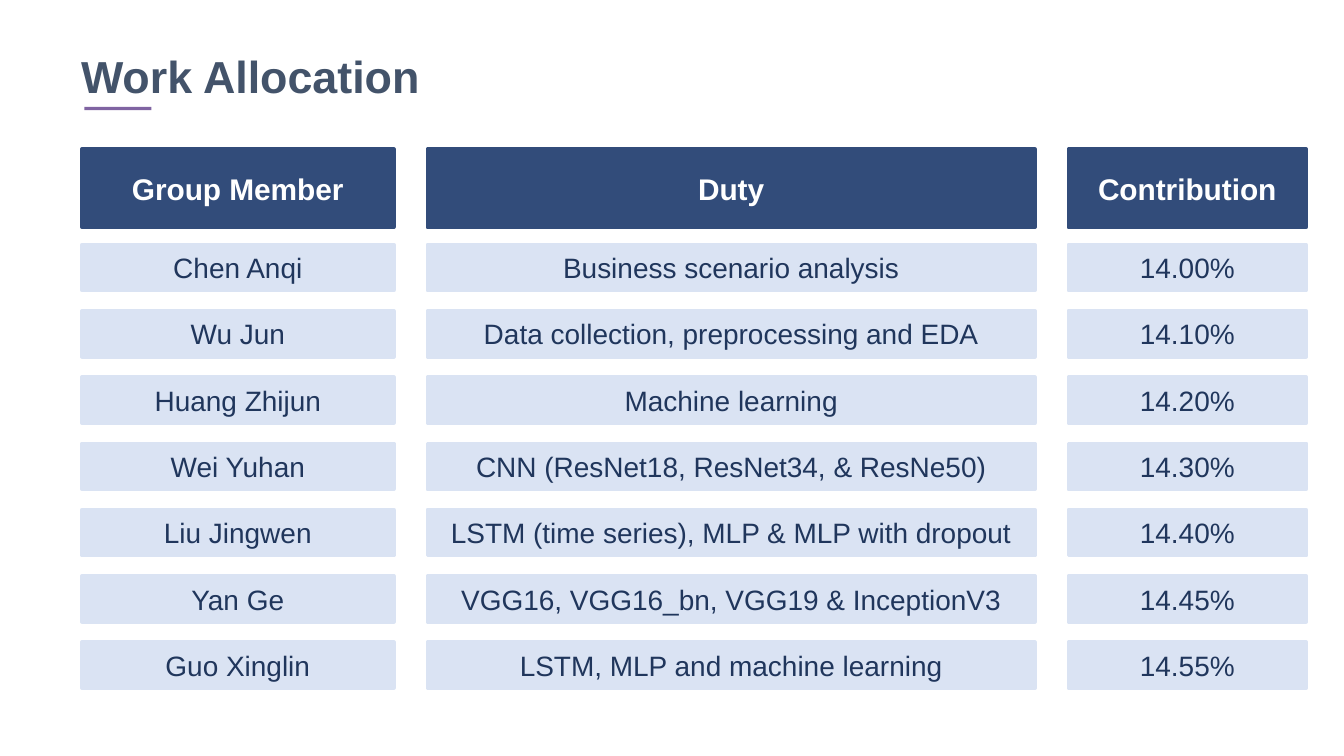
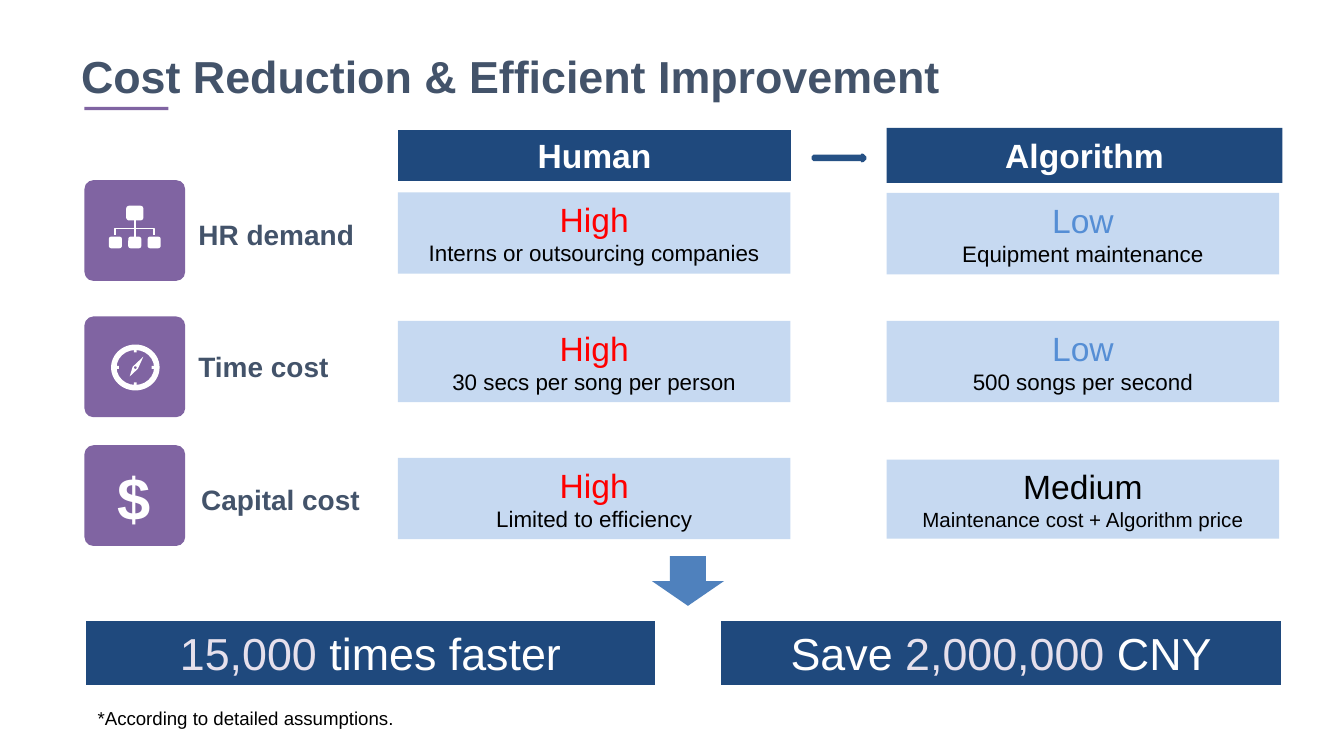
import pptx
import pptx.util
import pptx.dml.color
import pptx.enum.shapes
import pptx.enum.text
import pptx.oxml
import pptx.oxml.ns

Pt = pptx.util.Pt
RGBColor = pptx.dml.color.RGBColor
SHAPE = pptx.enum.shapes.MSO_SHAPE
ANCHOR = pptx.enum.text.MSO_ANCHOR
ALIGN = pptx.enum.text.PP_ALIGN

FONT = "Arial"
WHITE = RGBColor(0xFF, 0xFF, 0xFF)
BLACK = RGBColor(0x00, 0x00, 0x00)
RED = RGBColor(0xFF, 0x00, 0x00)
PURPLE = RGBColor(0x80, 0x64, 0xA2)
LAVENDER = RGBColor(0xE6, 0xE0, 0xEC)
SLATE = RGBColor(0x43, 0x53, 0x6A)
HEADER_BLUE = RGBColor(0x32, 0x4C, 0x7A)
ROW_BLUE = RGBColor(0xDA, 0xE3, 0xF3)
ROW_TEXT = RGBColor(0x20, 0x36, 0x5C)
NAVY = RGBColor(0x1F, 0x49, 0x7D)
CARD_BLUE = RGBColor(0xC6, 0xD9, 0xF1)
LOW_BLUE = RGBColor(0x55, 0x8E, 0xD5)
ARROW_NAVY = RGBColor(0x26, 0x51, 0x85)
ARROW_BLUE = RGBColor(0x4F, 0x81, 0xBD)

ALLOCATION = [
    ("Group Member", 43.9, 167, ["Chen Anqi", "Wu Jun", "Huang Zhijun", "Wei Yuhan",
                                 "Liu Jingwen", "Yan Ge", "Guo Xinglin"]),
    ("Duty", 229, 325.4, ["Business scenario analysis",
                          "Data collection, preprocessing and EDA",
                          "Machine learning",
                          "CNN (ResNet18, ResNet34, & ResNe50)",
                          "LSTM (time series), MLP & MLP with dropout",
                          "VGG16, VGG16_bn, VGG19 & InceptionV3",
                          "LSTM, MLP and machine learning"]),
    ("Contribution", 572.4, 127.4, ["14.00%", "14.10%", "14.20%", "14.30%",
                                    "14.40%", "14.45%", "14.55%"]),
]


# Shared building blocks
def points(values):
    return [Pt(value) for value in values]


def style(shape, fill=None, line=None, line_width=2):
    shape.shadow.inherit = False
    if fill is None:
        shape.fill.background()
    else:
        shape.fill.solid()
        shape.fill.fore_color.rgb = fill
    if line is None:
        shape.line.fill.background()
    else:
        shape.line.color.rgb = line
        shape.line.width = Pt(line_width)
    return shape


def add_box(slide, preset, box, fill, line=None, corner=None):
    shape = style(slide.shapes.add_shape(preset, *points(box)), fill, line)
    if corner is not None:
        shape.adjustments[0] = corner
    return shape


def write(shape, paragraphs, align=ALIGN.CENTER, anchor=ANCHOR.TOP):
    """Each paragraph is a list of runs: (text, size, colour, bold)."""
    frame = shape.text_frame
    frame.word_wrap = True
    frame.vertical_anchor = anchor
    for index, runs in enumerate(paragraphs):
        paragraph = frame.add_paragraph() if index else frame.paragraphs[0]
        paragraph.alignment = align
        for text, size, colour, bold in runs:
            run = paragraph.add_run()
            run.text = text
            run.font.name = FONT
            run.font.size = Pt(size)
            run.font.bold = bold
            run.font.color.rgb = colour


def add_label(slide, box, text, size, colour, bold=False, anchor=ANCHOR.TOP):
    label = slide.shapes.add_textbox(*points(box))
    write(label, [[(text, size, colour, bold)]], ALIGN.LEFT, anchor)


def add_outline(slide, corners, close):
    corners = [points(corner) for corner in corners]
    builder = slide.shapes.build_freeform(*corners[0])
    builder.add_line_segments(corners[1:], close=close)
    return builder.convert_to_shape()


def add_title(slide, text, rule_width):
    add_box(slide, SHAPE.RECTANGLE, (45.2, 57.3, rule_width, 1.7), PURPLE)
    add_label(slide, (36.3, 16.6, 639.4, 47.5), text, 24, SLATE, True, ANCHOR.MIDDLE)


# Slide 1: columns of separate cells
def add_column(slide, box, heading, entries):
    left, top, width, header_height = box
    row_top, row_pitch, row_height = top + 51.2, 35.5, 24.5
    header = add_box(slide, SHAPE.ROUNDED_RECTANGLE, box, HEADER_BLUE, HEADER_BLUE, 0)
    write(header, [[(heading, 16, WHITE, True)]], anchor=ANCHOR.MIDDLE)
    for index, entry in enumerate(entries):
        cell_box = (left, row_top + index * row_pitch, width, row_height)
        cell = add_box(slide, SHAPE.ROUNDED_RECTANGLE, cell_box, ROW_BLUE, ROW_BLUE, 0)
        write(cell, [[(entry, 15, ROW_TEXT, False)]], anchor=ANCHOR.MIDDLE)


def build_allocation(slide):
    add_title(slide, "Work Allocation", 36)
    for heading, left, width, entries in ALLOCATION:
        add_column(slide, (left, 79.9, width, 41.8), heading, entries)


# Slide 2: icons, each drawn on a square tile
def draw_hierarchy(slide, left, top):
    middle, spread = left + 27, 10.4

    def add_node(center, node_top, width, height):
        box = (center - width / 2, node_top, width, height)
        return add_box(slide, SHAPE.ROUNDED_RECTANGLE, box, WHITE, corner=0.2)

    parent = add_node(middle, top + 13.7, 9.2, 7.9)
    children = [add_node(middle + step * spread, top + 30.3, 7, 6.2) for step in (-1, 0, 1)]
    stem = slide.shapes.add_connector(pptx.enum.shapes.MSO_CONNECTOR.STRAIGHT, 0, 0, 0, 0)
    stem.begin_connect(parent, 2)
    stem.end_connect(children[1], 0)
    stem.line.color.rgb = WHITE
    stem.line.width = Pt(1)
    stem._element.spPr.append(pptx.oxml.parse_xml(
        "<a:effectLst %s/>" % pptx.oxml.ns.nsdecls("a")))
    low, high = top + 29.5, top + 25.9
    bracket = add_outline(slide, [(middle - spread, low), (middle - spread, high),
                                  (middle + spread, high), (middle + spread, low)], False)
    style(bracket, line=WHITE, line_width=1)


def draw_compass(slide, left, top):
    x, y = left + 27.3, top + 27.4
    add_box(slide, SHAPE.DONUT, (x - 13, y - 12.3, 26, 24.6), WHITE, corner=0.12)
    for across, down in ((0, -1), (1, 0), (0, 1), (-1, 0)):
        tick = (x + across * 9.5 - 0.8, y + down * 8.8 - 0.8, 1.6, 1.6)
        add_box(slide, SHAPE.RECTANGLE, tick, WHITE)
    needle = [(4.3, -5.8), (1.4, 0.7), (-3, 4.8), (-1.4, -0.4)]
    style(add_outline(slide, [(x + dx, y + dy) for dx, dy in needle], True), WHITE)
    add_box(slide, SHAPE.OVAL, (x - 0.7, y - 0.7, 1.4, 1.4), PURPLE)


def draw_dollar(slide, left, top):
    add_label(slide, (left + 10.8, top + 5, 33, 46), "$", 32, WHITE, True)


def add_criterion(slide, box, draw_icon, label, label_left, label_top):
    add_box(slide, SHAPE.ROUNDED_RECTANGLE, box, PURPLE, corner=0.09)
    draw_icon(slide, box[0], box[1])
    add_label(slide, (label_left, label_top, 112, 25.2), label, 15, SLATE, True)


def add_card(slide, box, level, colour, detail, detail_size=12):
    card = add_box(slide, SHAPE.RECTANGLE, box, CARD_BLUE)
    write(card, [[(level, 18, colour, False)], [(detail, detail_size, BLACK, False)]])


def add_banner(slide, box, runs, line=WHITE):
    banner = add_box(slide, SHAPE.RECTANGLE, box, NAVY, line)
    write(banner, [runs])


def build_comparison(slide):
    add_title(slide, "Cost Reduction & Efficient Improvement", 45)
    human_left, algorithm_left, card_width = 213.2, 475, 210.3

    # Criteria on the left
    for icon_top, draw_icon, label, label_left, label_top in [
            (96.5, draw_hierarchy, "HR demand", 99.2, 113.2),
            (169.5, draw_compass, "Time cost", 99.2, 183.8),
            (238.5, draw_dollar, "Capital cost", 100.7, 255)]:
        add_criterion(slide, (45.2, icon_top, 54, 54), draw_icon, label, label_left, label_top)

    # Headers joined by an arrow
    add_banner(slide, (212.4, 68.8, 212.2, 29.3), [("Human", 18, WHITE, True)])
    add_banner(slide, (algorithm_left, 68.5, 212, 29.5), [("Algorithm", 18, WHITE, True)], None)
    add_box(slide, SHAPE.RIGHT_ARROW, (435.8, 83.2, 27.6, 2.9), ARROW_NAVY, ARROW_NAVY)

    # Cards for both sides
    for top, detail in [(103.1, "Interns or outsourcing companies"),
                        (171.9, "30 secs per song per person"),
                        (245.3, "Limited to efficiency")]:
        add_card(slide, (human_left, top, card_width, 43.6), "High", RED, detail)
    for top, height, level, colour, detail, size in [
            (103.4, 43.6, "Low", LOW_BLUE, "Equipment maintenance", 12),
            (171.9, 43.6, "Low", LOW_BLUE, "500 songs per second", 12),
            (246.3, 42.3, "Medium", BLACK, "Maintenance cost + Algorithm price", 11)]:
        add_card(slide, (algorithm_left, top, card_width, height), level, colour, detail, size)

    # Outcome and footnote
    add_box(slide, SHAPE.DOWN_ARROW, (349.2, 298, 38.7, 26.6), ARROW_BLUE)
    add_banner(slide, (45.2, 331.8, 306.5, 36),
               [("15,000", 24, LAVENDER, False), (" times faster", 24, WHITE, False)])
    add_banner(slide, (385.3, 331.8, 302, 36),
               [("Save ", 24, WHITE, False), ("2,000,000", 24, LAVENDER, False),
                (" CNY", 24, WHITE, False)])
    add_label(slide, (45.2, 375.2, 317.5, 19.4),
              "*According to detailed assumptions.", 10, BLACK)


def main():
    presentation = pptx.Presentation()
    presentation.slide_width, presentation.slide_height = Pt(720), Pt(405)
    blank = presentation.slide_layouts[6]
    for build in (build_allocation, build_comparison):
        build(presentation.slides.add_slide(blank))
    presentation.save("out.pptx")


if __name__ == "__main__":
    main()
